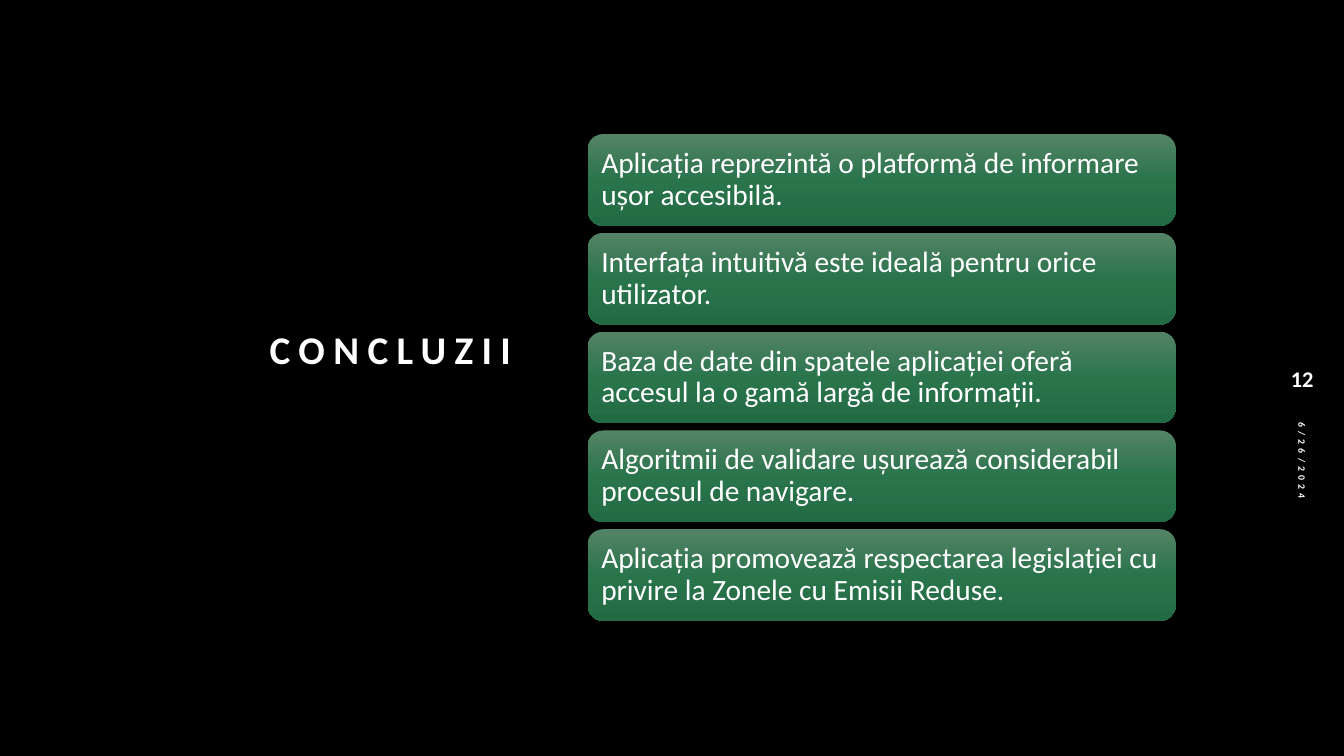
from copy import deepcopy

from pptx import Presentation
from pptx.dml.color import RGBColor
from pptx.enum.shapes import MSO_SHAPE
from pptx.enum.text import MSO_ANCHOR as ANCHOR, PP_ALIGN as ALIGN
from pptx.oxml.ns import qn
from pptx.util import Inches, Pt

COLORS = {"background": "000000", "text": "FFFFFF"}
CARD_STOPS = [(0, "548366"), (0.5, "2A744C"), (1, "226A43")]
CONCLUSIONS = [
    "Aplicația reprezintă o platformă de informare ușor accesibilă.",
    "Interfața intuitivă este ideală pentru orice utilizator.",
    "Baza de date din spatele aplicației oferă accesul la o gamă largă de informații.",
    "Algoritmii de validare ușurează considerabil procesul de navigare.",
    "Aplicația promovează respectarea legislației cu privire la Zonele cu Emisii Reduse.",
]


def write(sp, text, size, anchor=ANCHOR.MIDDLE, tracking=0, bold=True, **layout):
    """Fill a shape with one paragraph; layout holds paragraph attributes."""
    tf = sp.text_frame
    tf.word_wrap = True
    tf.vertical_anchor = anchor
    p = tf.paragraphs[0]
    for name, value in layout.items():
        setattr(p, name, value)
    r = p.add_run()
    r.text = text
    for name, value in {"name": "Calibri", "size": Pt(size), "bold": bold}.items():
        setattr(r.font, name, value)
    r.font.color.rgb = RGBColor.from_string(COLORS["text"])
    if tracking:
        r.font._element.set("spc", str(tracking * 100))
    return tf


def add_title(slide, left, top, width, height):
    title = slide.shapes.title
    box = {"left": left, "top": top, "width": width, "height": height}
    for name, value in box.items():
        setattr(title, name, Inches(value))
    write(title, "CONCLUZII", 28, ANCHOR.BOTTOM, 6, alignment=ALIGN.RIGHT, line_spacing=1.2)


def add_side_marks(slide, left, top, width):
    """Slide number with the date running down below it."""
    number = slide.shapes.add_textbox(*map(Inches, (left, top, width, 0.47)))
    write(number, "12", 16, alignment=ALIGN.CENTER, space_after=Pt(6))

    length, thickness = 2.92, 0.4
    date = slide.shapes.add_textbox(
        *map(Inches, (left + (width - length) / 2, top + 1.83, length, thickness)))
    date.rotation = 90
    write(date, "6/26/2024", 7, tracking=3, alignment=ALIGN.LEFT, space_after=Pt(6))


def fill_gradient(sp, stops):
    sp.fill.gradient()
    sp.fill.gradient_angle = 270
    first = sp._element.spPr.find(".//" + qn("a:gs"))
    first.addnext(deepcopy(first))
    for stop, (position, color) in zip(sp.fill.gradient_stops, stops):
        stop.position = position
        stop.color.rgb = RGBColor.from_string(color)


def add_card(slide, text, left, top, width, height):
    sp = slide.shapes.add_shape(
        MSO_SHAPE.ROUNDED_RECTANGLE, *map(Inches, (left, top, width, height)))
    sp.shadow.inherit = False
    sp.line.fill.background()
    fill_gradient(sp, CARD_STOPS)
    tf = write(sp, text, 21, bold=False, alignment=ALIGN.LEFT, line_spacing=0.9)
    for side in ("left", "top", "right", "bottom"):
        setattr(tf, f"margin_{side}", Inches(0.09))


def add_conclusions(slide, left, top, width, card_height=0.91, gap=0.07):
    for i, text in enumerate(CONCLUSIONS):
        add_card(slide, text, left, top + i * (card_height + gap), width, card_height)


def main():
    prs = Presentation()
    prs.slide_width, prs.slide_height = Inches(13.33), Inches(7.5)
    slide = prs.slides.add_slide(prs.slide_layouts[5])
    slide.background.fill.solid()
    slide.background.fill.fore_color.rgb = RGBColor.from_string(COLORS["background"])
    add_title(slide, 1.58, 1.7, 3.59, 2.04)
    add_side_marks(slide, 12.57, 3.52, 0.69)
    add_conclusions(slide, 5.83, 1.33, 5.83)
    prs.save("out.pptx")


if __name__ == "__main__":
    main()
